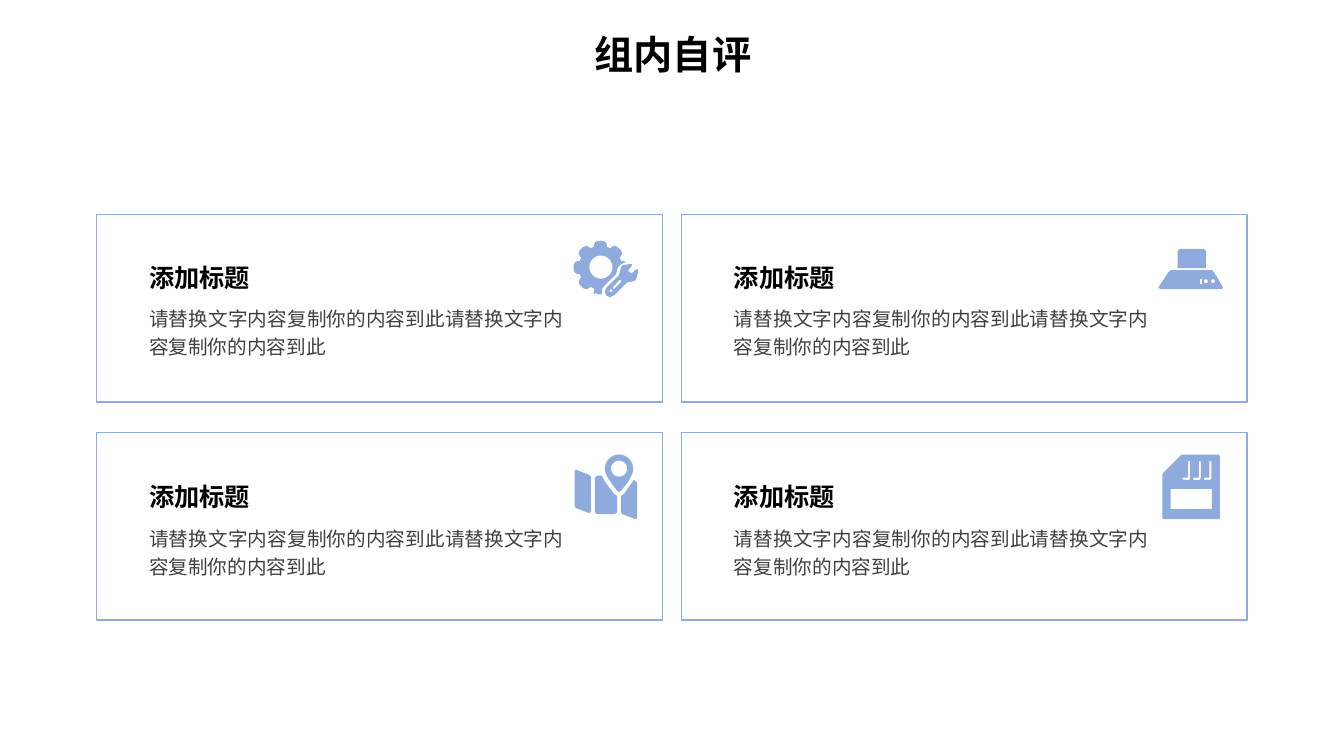
"""Build the group self-assessment slide: a title over a two by two grid of icon cards."""
from dataclasses import dataclass
from math import cos, radians, sin

from lxml import etree
from pptx import Presentation
from pptx.dml.color import RGBColor
from pptx.enum.shapes import MSO_SHAPE
from pptx.enum.text import MSO_AUTO_SIZE, PP_ALIGN
from pptx.oxml.ns import qn
from pptx.util import Inches, Pt

RECTANGLE = MSO_SHAPE.RECTANGLE
GROW = MSO_AUTO_SIZE.SHAPE_TO_FIT_TEXT
CENTER, JUSTIFY = PP_ALIGN.CENTER, PP_ALIGN.JUSTIFY

BLUE = RGBColor(0x8F, 0xAA, 0xDC)
BLACK = RGBColor(0, 0, 0)
GRAY = RGBColor(0x40, 0x40, 0x40)
FONT = "Noto Sans CJK SC"

SLIDE_WIDTH, SLIDE_HEIGHT = 13.33, 7.5
GRID_LEFT, GRID_TOP = 0.96, 2.13
COLUMN_PITCH, ROW_PITCH = 5.8, 2.16
CARD_WIDTH, CARD_HEIGHT = 5.61, 1.86
TEXT_INSET = 0.42
ICON_UNIT = 0.01

Point = tuple[float, float]
Contour = list[Point]


@dataclass(frozen=True)
class Style:
    """Look of a line of text."""
    size: int
    color: RGBColor
    bold: bool
    align: int
    spacing: float


@dataclass(frozen=True)
class Card:
    """Grid cell of a card, its icon outline and the icon's offset and text rise."""
    column: int
    row: int
    icon: list[Contour]
    icon_x: float
    icon_y: float
    heading: str = "添加标题"
    body: str = "请替换文字内容复制你的内容到此请替换文字内容复制你的内容到此"


TITLE = Style(28, BLACK, True, CENTER, 1.0)
HEADING = Style(18, BLACK, True, JUSTIFY, 1.2)
BODY = Style(14, GRAY, False, JUSTIFY, 1.2)


def arc(x: float, y: float, radius: float, start: int = 0, end: int = 360) -> Contour:
    """Return points along a clockwise arc."""
    return [(x + radius * cos(radians(angle)), y + radius * sin(radians(angle)))
            for angle in range(start, end + 1, 10)]


def box(left: float, top: float, right: float, bottom: float) -> Contour:
    """Return the corners of a rectangle."""
    return [(left, top), (right, top), (right, bottom), (left, bottom)]


def turn(points: Contour, center: float, angle: int) -> Contour:
    """Rotate points about the origin and move them to the centre."""
    c, s = cos(radians(angle)), sin(radians(angle))
    return [(center + x * c - y * s, center + x * s + y * c) for x, y in points]


def gear_and_wrench() -> list[Contour]:
    """Return a gear whose lower right gives way to a wrench."""
    half = [(-6.5, -20.5), (-6.5, -22.5), (-5.2, -25.2), (-2.5, -26.5)]
    tooth = half + [(-x, y) for x, y in reversed(half)]
    teeth = [point for angle in range(-135, 46, 45) for point in turn(tooth, 26.5, angle)]
    last_tooth = [(20, 53), (20, 47)]
    notch = [(47, 20), (49, 20), (52, 21), (47, 23), (44, 26), (42, 33),
             (30, 45), (28, 48), (28, 53), (24, 53), (21.3, 51.7)]
    wrench = [(56, 23), (58, 23), (58, 24), (55, 28), (54, 30), (55, 31), (57, 32),
              (59, 31), (62, 28), (63, 28), (64, 30), (62, 38), (60, 40), (53, 41),
              (40, 54), (36, 56), (32, 54), (31, 50), (32, 47), (45, 34), (47, 26), (49, 24)]
    slot = [(45, 39), (39, 46), (39, 48), (41, 47), (47, 41), (47, 39)]
    return [last_tooth + teeth + notch, arc(27, 26, 11.5), wrench, slot, arc(37, 49.5, 1.5)]


def map_and_pin() -> list[Contour]:
    """Return a folded map under a location pin."""
    left = [(0, 16), (1, 15), (14, 20), (16, 22), (16, 57), (14, 58), (1, 53), (0, 51)]
    middle = [(22, 21), (27, 21), (30, 27), (39, 39), (42, 41), (42, 57),
              (40, 59), (22, 59), (20, 57), (20, 23)]
    right = [(59, 25), (60, 26), (62, 28), (62, 63), (60, 64), (47, 59),
             (46, 57), (46, 41), (49, 39), (56, 29)]
    pin = arc(44, 14, 14, 150, 390) + [(53, 27), (46, 36), (44, 37), (42, 36), (34, 25)]
    return [left, middle, right, pin, arc(44, 14, 8)]


def projector() -> list[Contour]:
    """Return a projector with its lamp housing and controls."""
    housing = [(19, 2), (21, 0), (45, 0), (47, 2), (47, 19), (19, 19)]
    base = [(12, 21), (53, 21), (55, 23), (64, 38), (63, 40), (2, 40), (0, 38), (10, 23)]
    return [housing, base, box(41, 30, 43, 35), arc(47, 32, 2), arc(54, 32, 2)]


def memory_card() -> list[Contour]:
    """Return a memory card with contacts and a label."""
    outline = [(20, 0), (56, 0), (57, 2), (57, 63), (56, 64), (1, 64),
               (0, 63), (0, 20), (1, 18), (18, 1)]
    hook = [(1, 23), (6, 23), (6, 7), (7, 6), (8, 7), (8, 24), (7, 25), (1, 25), (0, 24)]
    contacts = [[(left + x, y) for x, y in hook] for left in (19.5, 30, 40.5)]
    return [outline, *contacts, box(8, 34, 49, 54)]


CARDS = [
    Card(0, 0, gear_and_wrench(), 4.73, 0.26),
    Card(0, 1, map_and_pin(), 4.74, 0.22),
    Card(1, 0, projector(), 4.73, 0.34),
    Card(1, 1, memory_card(), 4.77, 0.22),
]


def add_text(shapes, text: str, left: float, top: float, width: float,
             height: float, style: Style) -> None:
    """Add one styled paragraph in a wrapping text box."""
    holder = shapes.add_textbox(Inches(left), Inches(top), Inches(width), Inches(height))
    frame = holder.text_frame
    frame.word_wrap = True
    frame.auto_size = GROW
    frame.text = text
    paragraph = frame.paragraphs[0]
    paragraph.alignment = style.align
    paragraph.line_spacing = style.spacing
    font = paragraph.runs[0].font
    font.name, font.size, font.bold = FONT, Pt(style.size), style.bold
    font.color.rgb = style.color
    properties = paragraph.runs[0]._r.get_or_add_rPr()
    etree.SubElement(properties, qn("a:ea")).set("typeface", FONT)


def add_icon(shapes, contours: list[Contour], left: float, top: float) -> None:
    """Draw all contours as one filled outline with holes."""
    placed = [[(Inches(left + x * ICON_UNIT), Inches(top + y * ICON_UNIT)) for x, y in contour]
              for contour in contours]
    builder = shapes.build_freeform(*placed[0][0])
    builder.add_line_segments(placed[0][1:], close=True)
    for contour in placed[1:]:
        builder.move_to(*contour[0])
        builder.add_line_segments(contour[1:], close=True)
    icon = builder.convert_to_shape()
    icon.shadow.inherit = False
    icon.fill.solid()
    icon.fill.fore_color.rgb = BLUE
    icon.line.fill.background()


def add_card(slide, card: Card) -> None:
    """Draw a card with its frame, icon, body and heading as a group."""
    left = GRID_LEFT + card.column * COLUMN_PITCH
    top = GRID_TOP + card.row * ROW_PITCH
    text_left = left + TEXT_INSET
    text_drop = card.row * 0.02
    shapes = slide.shapes.add_group_shape().shapes
    frame = shapes.add_shape(RECTANGLE, Inches(left), Inches(top),
                             Inches(CARD_WIDTH), Inches(CARD_HEIGHT))
    frame.shadow.inherit = False
    frame.fill.background()
    frame.line.color.rgb = BLUE
    frame.line.width = Pt(1)
    add_icon(shapes, card.icon, left + card.icon_x, top + card.icon_y)
    add_text(shapes, card.body, text_left, top + 0.82 + text_drop, 4.31, 0.67, BODY)
    add_text(shapes, card.heading, text_left, top + 0.36 + text_drop, 2.24, 0.45, HEADING)


def main() -> None:
    """Build and save the slide."""
    deck = Presentation()
    deck.slide_width, deck.slide_height = Inches(SLIDE_WIDTH), Inches(SLIDE_HEIGHT)
    slide = deck.slides.add_slide(deck.slide_layouts[6])
    for card in CARDS:
        add_card(slide, card)
    add_text(slide.shapes, "组内自评", 0.01, 0.25, SLIDE_WIDTH, 0.57, TITLE)
    deck.save("out.pptx")


if __name__ == "__main__":
    main()
